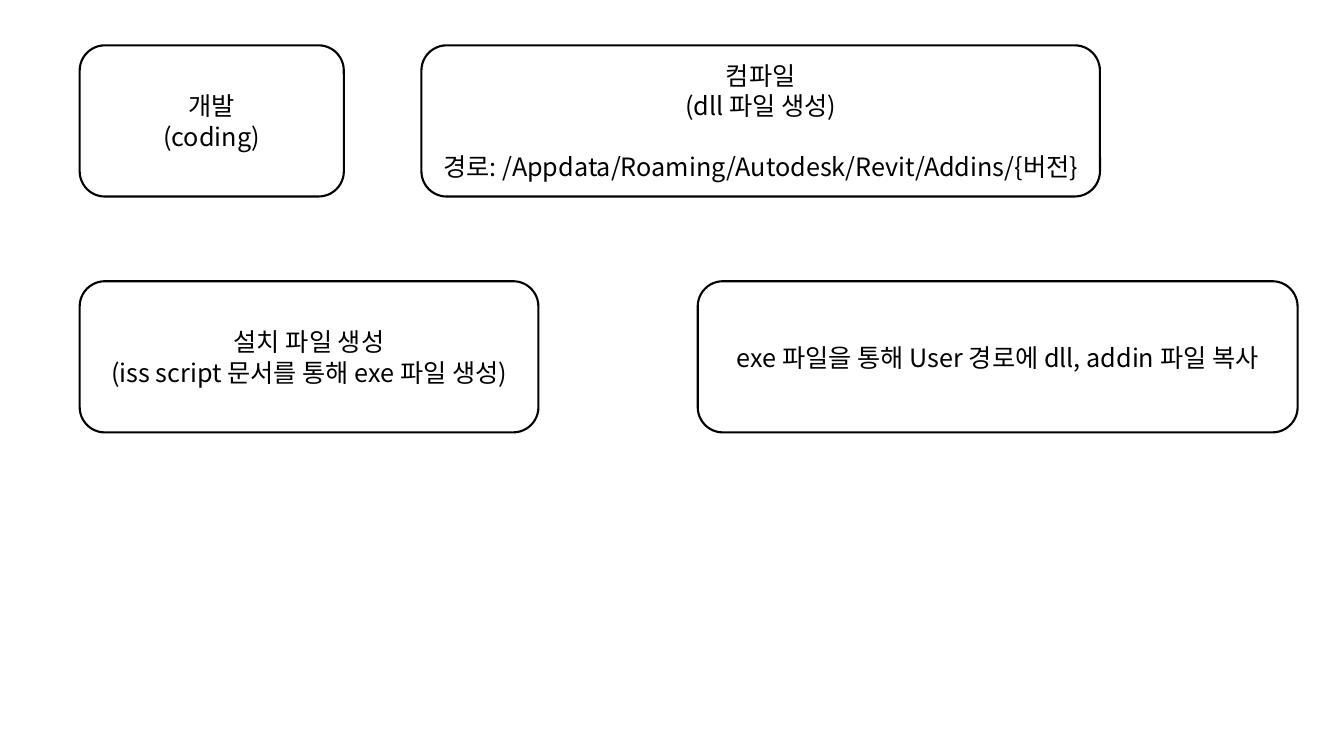
"""Draw the four steps of building and installing an add-in."""
from dataclasses import dataclass

from lxml import etree
from pptx import Presentation
from pptx.dml.color import RGBColor
from pptx.enum import shapes, text
from pptx.oxml import ns
from pptx.slide import Slide
from pptx.util import Inches, Length, Pt


@dataclass(frozen=True)
class Theme:
    """Hold the colours, font and sizes of the slide."""
    ink: RGBColor = RGBColor(0, 0, 0)
    paper: RGBColor = RGBColor(255, 255, 255)
    font: str = "Noto Sans CJK KR"
    size: Length = Pt(18)
    leading: Length = Pt(21.8)
    outline: Length = Pt(1.5)


@dataclass(frozen=True)
class Step:
    """Describe one step: its place, its lines and an optional note set apart."""
    left: float
    top: float
    width: float
    lines: tuple[str, ...]
    note: str = ""


THEME = Theme()
STEP_HEIGHT = 1.5
MARGIN = 0.79
TOP_ROW, BOTTOM_ROW = 0.45, 2.79
STEPS = (
    Step(MARGIN, TOP_ROW, 2.62, ("개발", "(coding)")),
    Step(4.18, TOP_ROW, 6.73, ("컴파일", "(dll 파일 생성)"),
         "경로: /Appdata/Roaming/Autodesk/Revit/Addins/{버전}"),
    Step(MARGIN, BOTTOM_ROW, 4.55,
         ("설치 파일 생성", "(iss script 문서를 통해 exe 파일 생성)")),
    Step(6.92, BOTTOM_ROW, 5.95,
         ("exe 파일을 통해 User 경로에 dll, addin 파일 복사",)),
)


def add_line(frame: text.MSO_ANCHOR, words: str, first: bool, gap: Length) -> None:
    """Write one centred paragraph into a text frame."""
    para = frame.paragraphs[0] if first else frame.add_paragraph()
    para.alignment = text.PP_ALIGN.CENTER
    para.line_spacing = THEME.leading
    para.space_before = gap
    span = para.add_run()
    span.text = words
    span.font.name = THEME.font
    span.font.size = THEME.size
    span.font.color.rgb = THEME.ink
    east_asian = etree.SubElement(span.font._element, ns.qn("a:ea"))
    east_asian.set("typeface", THEME.font)


def add_step(page: Slide, step: Step) -> None:
    """Draw one rounded box with its text."""
    box = page.shapes.add_shape(
        shapes.MSO_SHAPE.ROUNDED_RECTANGLE, Inches(step.left), Inches(step.top),
        Inches(step.width), Inches(STEP_HEIGHT))
    box.shadow.inherit = False
    box.fill.solid()
    box.fill.fore_color.rgb = THEME.paper
    box.line.color.rgb = THEME.ink
    box.line.width = THEME.outline
    frame = box.text_frame
    frame.word_wrap = True
    frame.vertical_anchor = text.MSO_ANCHOR.MIDDLE
    for index, words in enumerate(step.lines):
        add_line(frame, words, index == 0, Pt(0))
    if step.note:
        add_line(frame, step.note, False, THEME.leading)


def main() -> None:
    """Build and save the deck."""
    deck = Presentation()
    deck.slide_width, deck.slide_height = Inches(13.33), Inches(7.5)
    page = deck.slides.add_slide(deck.slide_layouts[6])
    for step in STEPS:
        add_step(page, step)
    deck.save("out.pptx")


if __name__ == "__main__":
    main()
